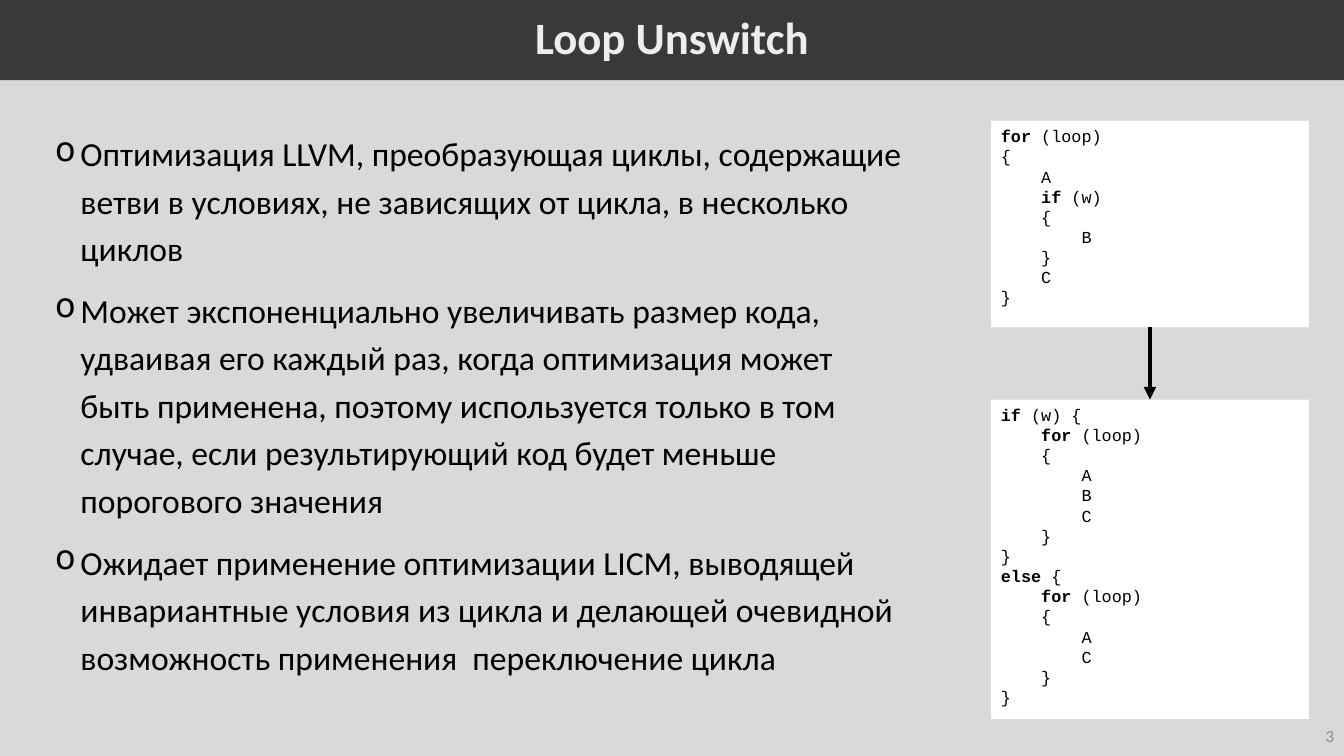
from dataclasses import dataclass, field

from lxml.etree import SubElement
from pptx import Presentation
from pptx.dml.color import RGBColor
from pptx.enum.shapes import MSO_CONNECTOR as Link, MSO_SHAPE as Kind
from pptx.enum.text import MSO_ANCHOR as Anchor, PP_ALIGN as Align
from pptx.oxml.ns import qn
from pptx.util import Pt

WIDE, HIGH = 960, 540
BLACK, WHITE = "000000", "FFFFFF"
STEP = 28.8  # one code indent: four characters


@dataclass
class Line:
    text: str            # parts between * marks are bold
    inset: float = 0
    hang: float = 0
    bullet: str = ""


@dataclass
class Box:
    place: tuple         # left, top, width, height
    lines: list
    font: dict
    hue: str = BLACK
    fill: str = ""
    anchor: Anchor = Anchor.TOP
    para: dict = field(default_factory=dict)


def color(hue: str) -> RGBColor:
    return RGBColor.from_string(hue)


def apply(target, values: dict) -> None:
    for name, value in values.items():
        setattr(target, name, value)


def code(text: str) -> list:
    """Turn tab-indented code into lines with paragraph indents."""
    return [Line(row.lstrip("\t"), STEP * row.count("\t"))
            for row in text.strip().split("\n")]


def write(para, line: Line, box: Box) -> None:
    apply(para, box.para)
    props = para._p.get_or_add_pPr()
    if line.inset:
        props.set("marL", str(Pt(line.inset)))
        props.set("indent", str(Pt(line.hang)))
    if line.bullet:
        SubElement(props, qn("a:buChar"), char=line.bullet)
    for spot, part in enumerate(line.text.split("*")):
        if part:
            run = para.add_run()
            run.text = part
            apply(run.font, {"bold": spot % 2 == 1, **box.font})
            run.font.color.rgb = color(box.hue)


def draw(slide, box: Box) -> None:
    place = [Pt(n) for n in box.place]
    if box.fill:
        shape = slide.shapes.add_shape(Kind.RECTANGLE, *place)
        shape.shadow.inherit = False
        shape.fill.solid()
        shape.fill.fore_color.rgb = color(box.fill)
        shape.line.fill.background()
    else:
        shape = slide.shapes.add_textbox(*place)
    frame = shape.text_frame
    apply(frame, {"word_wrap": True, "vertical_anchor": box.anchor})
    for spot, line in enumerate(box.lines):
        para = frame.add_paragraph() if spot else frame.paragraphs[0]
        write(para, line, box)


def arrow(slide, x: float, top: float, end: float) -> None:
    link = slide.shapes.add_connector(
        Link.STRAIGHT, Pt(x), Pt(top), Pt(x), Pt(end))
    link.line.color.rgb = color(BLACK)
    link.line.width = Pt(3)
    SubElement(link.line._get_or_add_ln(), qn("a:tailEnd"), type="triangle")
    SubElement(link._element.spPr, qn("a:effectLst"))


# Code before and after the pass
BEFORE = """
*for* (loop)
{
\tA
\t*if* (w)
\t{
\t\tB
\t}
\tC
}
"""
AFTER = """
*if* (w) {
\t*for* (loop)
\t{
\t\tA
\t\tB
\t\tC
\t}
}
*else* {
\t*for* (loop)
\t{
\t\tA
\t\tC
\t}
}
"""
POINTS = [
    "Оптимизация LLVM, преобразующая циклы, содержащие ветви в условиях, "
    "не зависящих от цикла, в несколько циклов",
    "Может экспоненциально увеличивать размер кода, удваивая его каждый раз, "
    "когда оптимизация может быть применена, поэтому используется только "
    "в том случае, если результирующий код будет меньше порогового значения",
    "Ожидает применение оптимизации LICM, выводящей инвариантные условия "
    "из цикла и делающей очевидной возможность применения  переключение цикла",
]

# Shared formats and places
MONO = {"name": "Courier New", "size": Pt(12)}
LEFT = {"alignment": Align.LEFT}
TIGHT = {**LEFT, "line_spacing": Pt(14.4)}
SIDE, SPAN = 707.9, 227  # left edge and width of the code panels
TOP, DEEP, NEXT = 86.4, 147.2, 285.4

BOXES = [
    # Page number
    Box((926.6, 511.2, 33.4, 28.8), [Line("3")],
        {"name": "Calibri", "size": Pt(12)}, "8C8C8C",
        anchor=Anchor.MIDDLE, para={"alignment": Align.RIGHT}),
    # Code panels
    Box((SIDE, TOP, SPAN, DEEP), code(BEFORE), MONO, fill=WHITE, para=TIGHT),
    Box((SIDE, NEXT, SPAN, 228.2), code(AFTER), MONO, fill=WHITE, para=TIGHT),
    # Bullet list
    Box((32.4, TOP, 620, 427), [Line(t, 18, -18, "o") for t in POINTS],
        {"name": "Calibri", "size": Pt(24)},
        para={**LEFT, "line_spacing": 1.18, "space_before": Pt(10)}),
    # Title bar
    Box((0, 0, WIDE, 57.3), [Line("*Loop Unswitch*")],
        {"name": "Calibri", "size": Pt(32)}, "EDEDED", "3B3838",
        Anchor.MIDDLE, {"alignment": Align.CENTER, "line_spacing": 0.9}),
]

deck = Presentation()
apply(deck, {"slide_width": Pt(WIDE), "slide_height": Pt(HIGH)})
slide = deck.slides.add_slide(deck.slide_layouts[6])
slide.background.fill.solid()
slide.background.fill.fore_color.rgb = color("D9D9D9")
for box in BOXES:
    draw(slide, box)
arrow(slide, SIDE + SPAN / 2, TOP + DEEP, NEXT)
deck.save("out.pptx")
